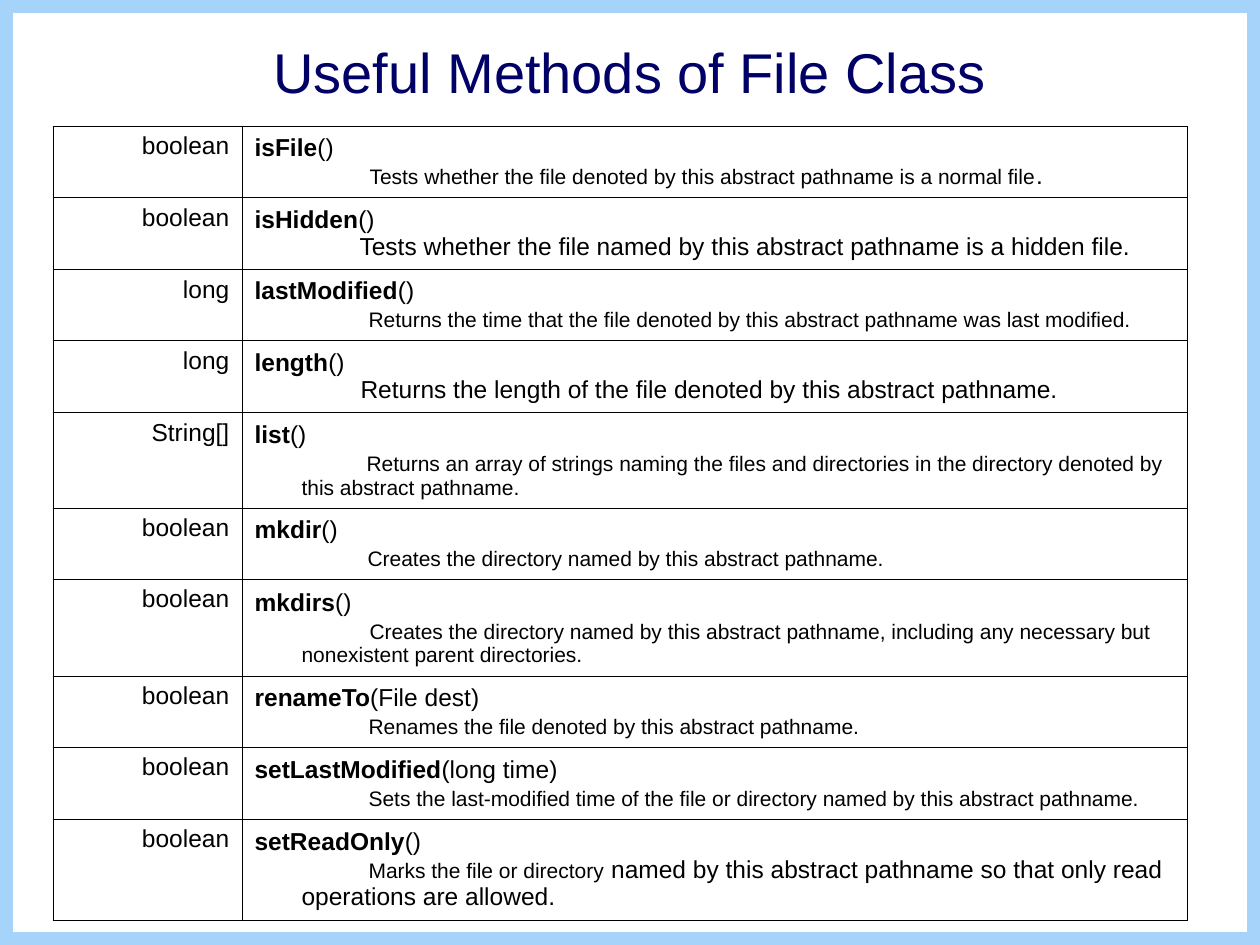
from typing import NamedTuple

from lxml.etree import SubElement
from pptx import Presentation
from pptx.dml.color import RGBColor
from pptx.enum.shapes import MSO_SHAPE
from pptx.enum.text import MSO_ANCHOR, PP_ALIGN
from pptx.oxml.ns import qn
from pptx.util import Emu, Pt

PX_PER_INCH = 126
FONT = "Arial"
BLACK, WHITE, NAVY, SKY = "000000", "FFFFFF", "000066", "A5D3F9"
LARGE, SMALL = 14, 12
HANGING = 47


class Part(NamedTuple):
    text: str
    size: int = SMALL


class Method(NamedTuple):
    returns: str
    name: str
    arguments: str
    first_line: int  # extra first-line indent of the description, px
    description: tuple[Part, ...]


METHODS = [
    Method("boolean", "isFile", "()", 68, (
        Part("Tests whether the file denoted by this abstract pathname is a normal file"),
        Part(".", LARGE))),
    Method("boolean", "isHidden", "()", 58, (
        Part("Tests whether the file named by this abstract pathname is a hidden file.", LARGE),)),
    Method("long", "lastModified", "()", 67, (
        Part("Returns the time that the file denoted by this abstract pathname was last modified."),)),
    Method("long", "length", "()", 59, (
        Part("Returns the length of the file denoted by this abstract pathname.", LARGE),)),
    Method("String[]", "list", "()", 65, (
        Part("Returns an array of strings naming the files and directories in the "
             "directory denoted by this abstract pathname."),)),
    Method("boolean", "mkdir", "()", 66, (
        Part("Creates the directory named by this abstract pathname."),)),
    Method("boolean", "mkdirs", "()", 68, (
        Part("Creates the directory named by this abstract pathname, including any "
             "necessary but nonexistent parent directories."),)),
    Method("boolean", "renameTo", "(File dest)", 67, (
        Part("Renames the file denoted by this abstract pathname."),)),
    Method("boolean", "setLastModified", "(long time)", 67, (
        Part("Sets the last-modified time of the file or directory named by this "
             "abstract pathname."),)),
    Method("boolean", "setReadOnly", "()", 67, (
        Part("Marks the file or directory"),
        Part(" named by this abstract pathname so that only read operations are allowed.",
             LARGE))),
]
COLUMN_EDGES = [53, 242, 1187]
ROW_EDGES = [126, 197, 269, 340, 412, 508, 579, 676, 747, 819, 920]


def px(length: int) -> Emu:
    return Emu(round(length * 914400 / PX_PER_INCH))


def rgb(value: str) -> RGBColor:
    return RGBColor.from_string(value)


def add_run(paragraph, text: str, size: int, color: str = BLACK, bold: bool = False) -> None:
    run = paragraph.add_run()
    run.text = text
    run.font.name = FONT
    run.font.size = Pt(size)
    run.font.bold = bold
    run.font.color.rgb = rgb(color)


def style_cell(cell) -> None:
    properties = cell._tc.get_or_add_tcPr()
    for side in ("a:lnL", "a:lnR", "a:lnT", "a:lnB"):
        line = SubElement(properties, qn(side), w=str(Pt(0.34)))
        fill = SubElement(line, qn("a:solidFill"))
        SubElement(fill, qn("a:srgbClr"), val=BLACK)
    cell.fill.solid()
    cell.fill.fore_color.rgb = rgb(WHITE)


def fill_return_cell(cell, method: Method) -> None:
    style_cell(cell)
    cell.vertical_anchor = MSO_ANCHOR.TOP
    paragraph = cell.text_frame.paragraphs[0]
    paragraph.alignment = PP_ALIGN.RIGHT
    add_run(paragraph, method.returns, LARGE)


def fill_method_cell(cell, method: Method) -> None:
    style_cell(cell)
    cell.vertical_anchor = MSO_ANCHOR.MIDDLE
    signature = cell.text_frame.paragraphs[0]
    add_run(signature, method.name, LARGE, bold=True)
    add_run(signature, method.arguments, LARGE)

    description = cell.text_frame.add_paragraph()
    indents = description._p.get_or_add_pPr()
    indents.set("marL", str(px(HANGING)))
    indents.set("indent", str(px(method.first_line)))
    if all(part.size == SMALL for part in method.description):
        description.space_before = Pt(LARGE - SMALL)
    for part in method.description:
        add_run(description, part.text, part.size)


def add_frame(slide, width: Emu, height: Emu) -> None:
    frame = slide.shapes.add_shape(MSO_SHAPE.RECTANGLE, 0, 0, width, height)
    frame.shadow.inherit = False
    frame.fill.background()
    frame.line.color.rgb = rgb(SKY)
    frame.line.width = Pt(15)


def add_title(slide, text: str) -> None:
    title = slide.shapes.add_textbox(px(63), px(38), px(1134), px(67))
    title.text_frame.word_wrap = True
    title.text_frame.vertical_anchor = MSO_ANCHOR.MIDDLE
    paragraph = title.text_frame.paragraphs[0]
    paragraph.alignment = PP_ALIGN.CENTER
    add_run(paragraph, text, 32, NAVY)


def add_method_table(slide, methods: list[Method]) -> None:
    left, top = COLUMN_EDGES[0], ROW_EDGES[0]
    table = slide.shapes.add_table(
        len(methods), 2, px(left), px(top),
        px(COLUMN_EDGES[-1] - left), px(ROW_EDGES[-1] - top)).table
    table.first_row = table.horz_banding = False
    for column, start, end in zip(table.columns, COLUMN_EDGES, COLUMN_EDGES[1:]):
        column.width = px(end - start)
    for row, start, end in zip(table.rows, ROW_EDGES, ROW_EDGES[1:]):
        row.height = px(end - start)
    for index, method in enumerate(methods):
        fill_return_cell(table.cell(index, 0), method)
        fill_method_cell(table.cell(index, 1), method)


def main() -> None:
    presentation = Presentation()
    presentation.slide_width = px(1260)
    presentation.slide_height = px(945)
    slide = presentation.slides.add_slide(presentation.slide_layouts[6])

    # Border around the slide, heading, then the method list
    add_frame(slide, presentation.slide_width, presentation.slide_height)
    add_title(slide, "Useful Methods of File Class")
    add_method_table(slide, METHODS)

    presentation.save("out.pptx")


if __name__ == "__main__":
    main()
